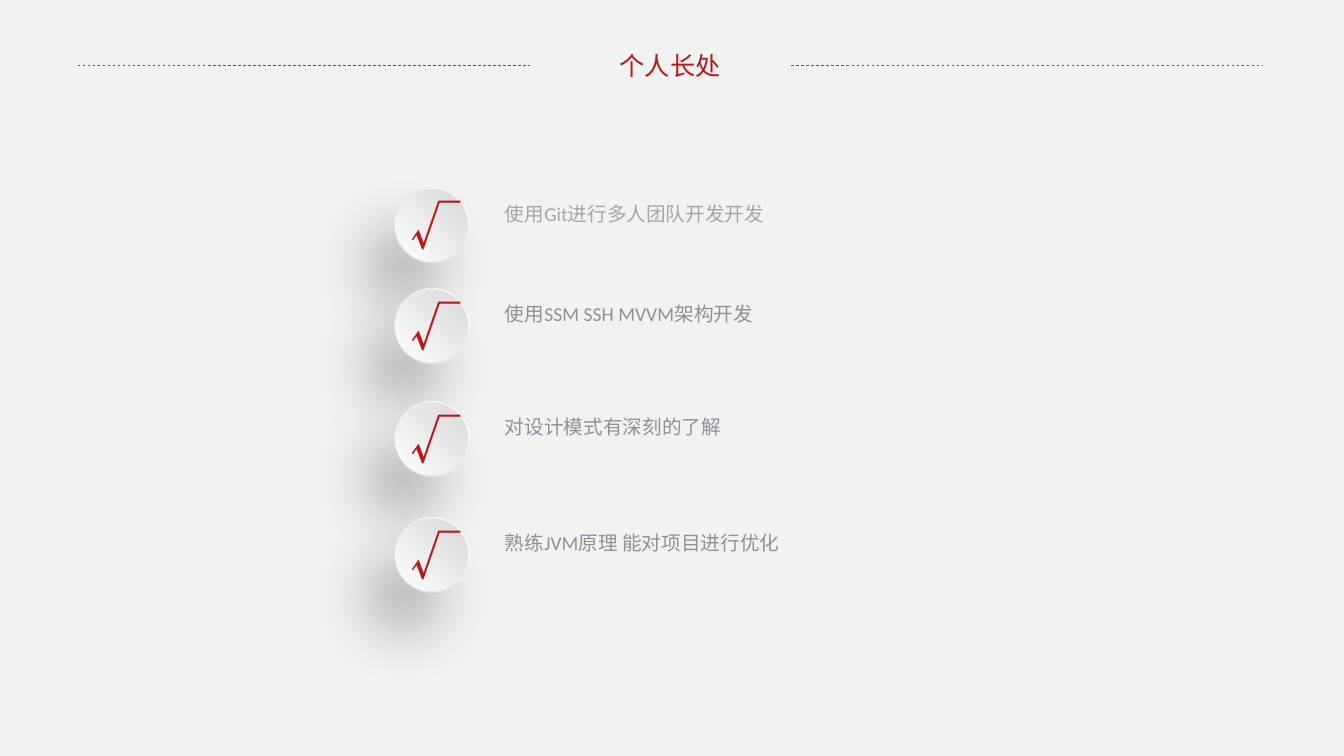
from lxml.etree import SubElement
from pptx import Presentation
from pptx.dml.color import RGBColor
from pptx.enum.dml import MSO_LINE
from pptx.enum.shapes import MSO_CONNECTOR, MSO_SHAPE
from pptx.enum.text import MSO_AUTO_SIZE, PP_ALIGN
from pptx.oxml import parse_xml
from pptx.oxml.ns import nsdecls, qn
from pptx.util import Inches, Pt

RED = "BB1717"
GREY = "919098"
CJK = "Noto Sans CJK SC"


def add_text(s, box, text, size, font, color, wrap=True):
    tb = s.shapes.add_textbox(*[Inches(v) for v in box])
    tf = tb.text_frame
    tf.word_wrap = wrap
    tf.auto_size = MSO_AUTO_SIZE.SHAPE_TO_FIT_TEXT
    p = tf.paragraphs[0]
    r = p.add_run()
    r.text = text
    r.font.size = Pt(size)
    r.font.name = font
    r.font.color.rgb = RGBColor.from_string(color)
    SubElement(r.font._element, qn("a:ea")).set("typeface", CJK)
    return p


def add_disc(group, left, top, size, inner, outer):
    """Add a circle with a radial gradient that starts at its top right."""
    sp = group.shapes.add_shape(MSO_SHAPE.OVAL, Inches(left), Inches(top),
                                Inches(size), Inches(size))
    sp.shadow.inherit = False
    sp.line.fill.background()
    sp._element.spPr.find(qn("a:prstGeom")).addnext(parse_xml(
        f'<a:gradFill {nsdecls("a")} rotWithShape="1"><a:gsLst>'
        f'<a:gs pos="0"><a:srgbClr val="{inner}"/></a:gs>'
        f'<a:gs pos="100000"><a:srgbClr val="{outer}"/></a:gs></a:gsLst>'
        '<a:path path="circle"><a:fillToRect l="100000" b="100000"/></a:path>'
        '</a:gradFill>'))
    return sp


prs = Presentation()
prs.slide_width = Inches(13.33)
prs.slide_height = Inches(7.5)
s = prs.slides.add_slide(prs.slide_layouts[6])
s.background.fill.solid()
s.background.fill.fore_color.rgb = RGBColor.from_string("F2F2F2")

# Title between two dashed rules
title = add_text(s, (6.04, 0.45, 1.21, 0.4), "个人长处", 18, "Arial", RED, wrap=False)
title.alignment = PP_ALIGN.CENTER
for x1, x2 in [(0.77, 5.26), (7.85, 12.52)]:
    rule = s.shapes.add_connector(MSO_CONNECTOR.STRAIGHT, Inches(x1), Inches(0.65),
                                  Inches(x2), Inches(0.65))
    rule.line.color.rgb = RGBColor.from_string("595959")
    rule.line.width = Pt(0.5)
    rule.line.dash_style = MSO_LINE.DASH
    SubElement(rule._element.spPr, qn("a:effectLst"))

# Strengths, each with a ticked button
strengths = [
    (1.86, "使用Git进行多人团队开发开发", "A6A6A6"),
    (2.86, "使用SSM SSH MVVM架构开发", GREY),
    (3.98, "对设计模式有深刻的了解", GREY),
    (5.13, "熟练JVM原理 能对项目进行优化", GREY),
]
for top, text, color in strengths:
    add_text(s, (4.91, top + 0.09, 4.02, 0.34), text, 14, "Calibri", color)
    button = s.shapes.add_group_shape()
    rim = add_disc(button, 3.91, top, 0.75, "FFFFFF", "D9D9D9")
    rim._element.spPr.find(qn("a:effectLst")).append(parse_xml(
        f'<a:outerShdw {nsdecls("a")} blurRad="{Pt(41)}" dist="{Pt(35)}" '
        f'dir="{126 * 60000}" algn="ctr" rotWithShape="0">'
        '<a:srgbClr val="000000"><a:alpha val="25000"/></a:srgbClr></a:outerShdw>'))
    add_disc(button, 3.92, top + 0.015, 0.72, "D9D9D9", "FEFEFE")
    add_text(s, (3.97, top + 0.03, 0.26, 0.71), "√", 36, CJK, RED)

prs.save("out.pptx")
